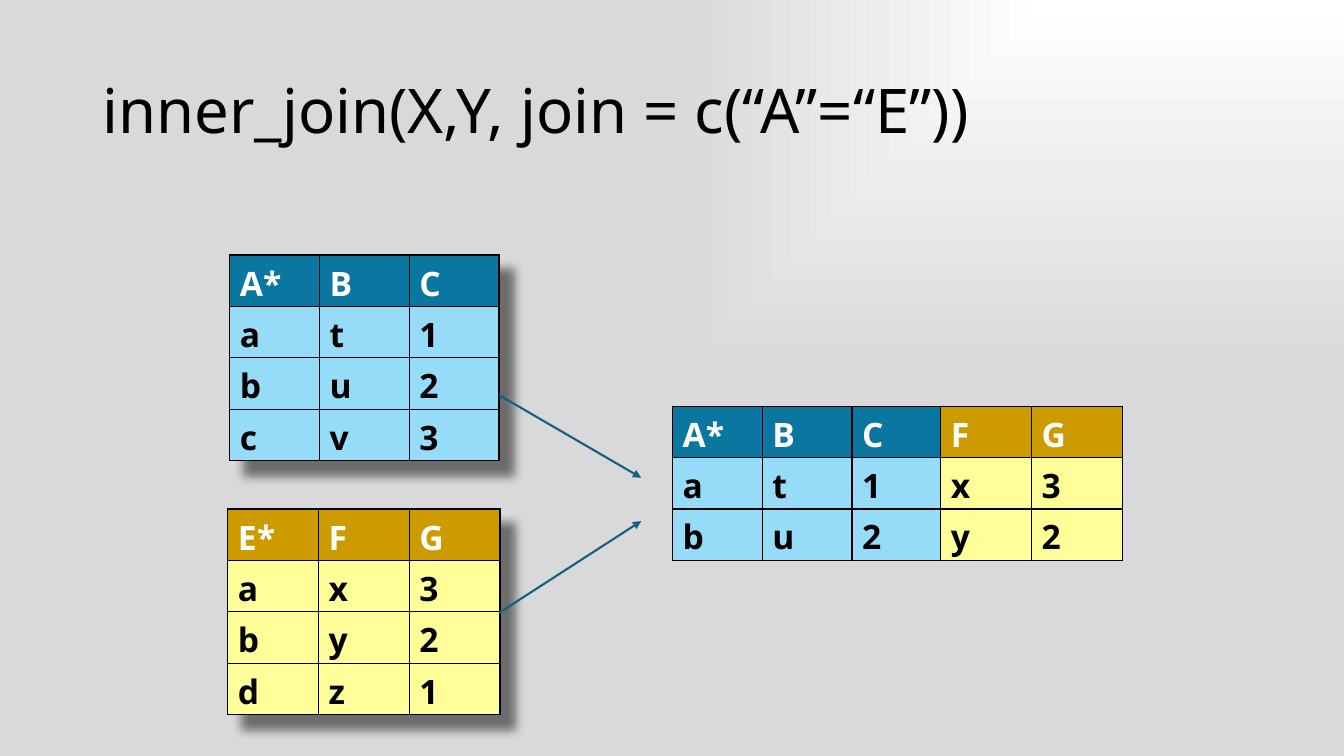
from lxml import etree
from pptx import Presentation
from pptx.dml.color import RGBColor
from pptx.enum.dml import MSO_LINE
from pptx.enum.shapes import MSO_CONNECTOR
from pptx.enum.text import MSO_ANCHOR
from pptx.oxml import parse_xml
from pptx.oxml.ns import nsdecls, qn
from pptx.util import Inches, Pt

STRAIGHT = MSO_CONNECTOR.STRAIGHT
MIDDLE = MSO_ANCHOR.MIDDLE
SOLID = MSO_LINE.SOLID

COLORS = {
    "black": "000000", "white": "FFFFFF", "gray": "D9D9D9", "arrow": "156082",
    "blue_head": "0B76A0", "blue_body": "96DCF8",
    "gold_head": "CC9B00", "gold_body": "FFFF99",
}
FONT = "Noto Sans"
TITLE_FORMAT = {"size": Pt(44), "name": FONT, "bold": False}
CELL_FORMAT = {"size": Pt(24), "name": FONT, "bold": True}
ROW_HEIGHT = 0.51

# Tables: box left, top, column width, palette, shadow, rows
TABLES = [
    (2.28, 2.53, 0.89, "blue", True, ["A* B C", "a t 1", "b u 2", "c v 3"]),
    (2.26, 5.05, 0.9, "gold", True, ["E* F G", "a x 3", "b y 2", "d z 1"]),
    (6.67, 4.03, 0.89, "blue", False, ["A* B C", "a t 1", "b u 2"]),
    (9.33, 4.03, 0.9, "gold", False, ["F G", "x 3", "y 2"]),
]
ARROWS = [(4.95, 3.92, 6.36, 4.74), (4.95, 6.08, 6.36, 5.17)]


def color(name):
    return RGBColor.from_string(COLORS[name])


def write(para, text, formats, color_name):
    span = para.add_run()
    span.text = text
    for key, value in formats.items():
        setattr(span.font, key, value)
    span.font.color.rgb = color(color_name)


def paint_background(page):
    """White top right corner fading to gray."""
    fill = page.background.fill
    fill.gradient()
    for stop, position, name in zip(fill.gradient_stops, (0, 1), ("white", "gray")):
        stop.position = position
        stop.color.rgb = color(name)
    gradient = page.element.find(".//" + qn("a:gradFill"))
    gradient.replace(gradient.find(qn("a:lin")), parse_xml(
        f'<a:path {nsdecls("a")} path="rect">'
        '<a:fillToRect l="100000" b="100000"/></a:path>'))


def add_title(page, left, top, width, height, text):
    box = page.shapes.add_textbox(*map(Inches, (left, top, width, height)))
    frame = box.text_frame
    frame.word_wrap = True
    frame.vertical_anchor = MIDDLE
    para = frame.paragraphs[0]
    para.line_spacing = 0.9
    write(para, text, TITLE_FORMAT, "black")


def add_borders(cell):
    properties = cell._tc.get_or_add_tcPr()
    for index, side in enumerate("LRTB"):
        properties.insert(index, parse_xml(
            f'<a:ln{side} {nsdecls("a")} w="{Pt(1)}"><a:solidFill>'
            f'<a:srgbClr val="{COLORS["black"]}"/></a:solidFill></a:ln{side}>'))


def add_shadow(table):
    table._tbl.tblPr.insert(0, parse_xml(
        f'<a:effectLst {nsdecls("a")}><a:outerShdw blurRad="{Inches(0.1)}" '
        f'dist="{Inches(0.2)}" dir="2700000" algn="tl" rotWithShape="0">'
        f'<a:srgbClr val="{COLORS["black"]}"><a:alpha val="50000"/></a:srgbClr>'
        '</a:outerShdw></a:effectLst>'))


def add_data_table(page, left, top, column_width, palette, shadow, lines):
    rows = [line.split() for line in lines]
    width, height = column_width * len(rows[0]), ROW_HEIGHT * len(rows)
    table = page.shapes.add_table(
        len(rows), len(rows[0]), *map(Inches, (left, top, width, height))).table
    table.first_row = table.horz_banding = False
    for column in table.columns:
        column.width = Inches(column_width)
    for row_index, values in enumerate(rows):
        part, ink = ("body", "black") if row_index else ("head", "white")
        for column_index, value in enumerate(values):
            cell = table.cell(row_index, column_index)
            cell.fill.solid()
            cell.fill.fore_color.rgb = color(f"{palette}_{part}")
            add_borders(cell)
            write(cell.text_frame.paragraphs[0], value, CELL_FORMAT, ink)
    if shadow:
        add_shadow(table)


def add_arrow(page, *ends):
    arrow = page.shapes.add_connector(STRAIGHT, *map(Inches, ends))
    line = arrow.line
    line.color.rgb = color("arrow")
    line.width = Pt(1.5)
    line.dash_style = SOLID
    etree.SubElement(line._get_or_add_ln(), qn("a:tailEnd"), type="triangle")
    etree.SubElement(arrow._element.spPr, qn("a:effectLst"))


def build_join_slide(deck):
    page = deck.slides.add_slide(deck.slide_layouts[6])
    paint_background(page)
    add_title(page, 0.92, 0.4, 11.5, 1.45, "inner_join(X,Y, join = c(“A”=“E”))")
    for table in TABLES:
        add_data_table(page, *table)
    for ends in ARROWS:
        add_arrow(page, *ends)


def main():
    deck = Presentation()
    deck.slide_width, deck.slide_height = Inches(13.33), Inches(7.5)
    build_join_slide(deck)
    deck.save("out.pptx")


if __name__ == "__main__":
    main()
